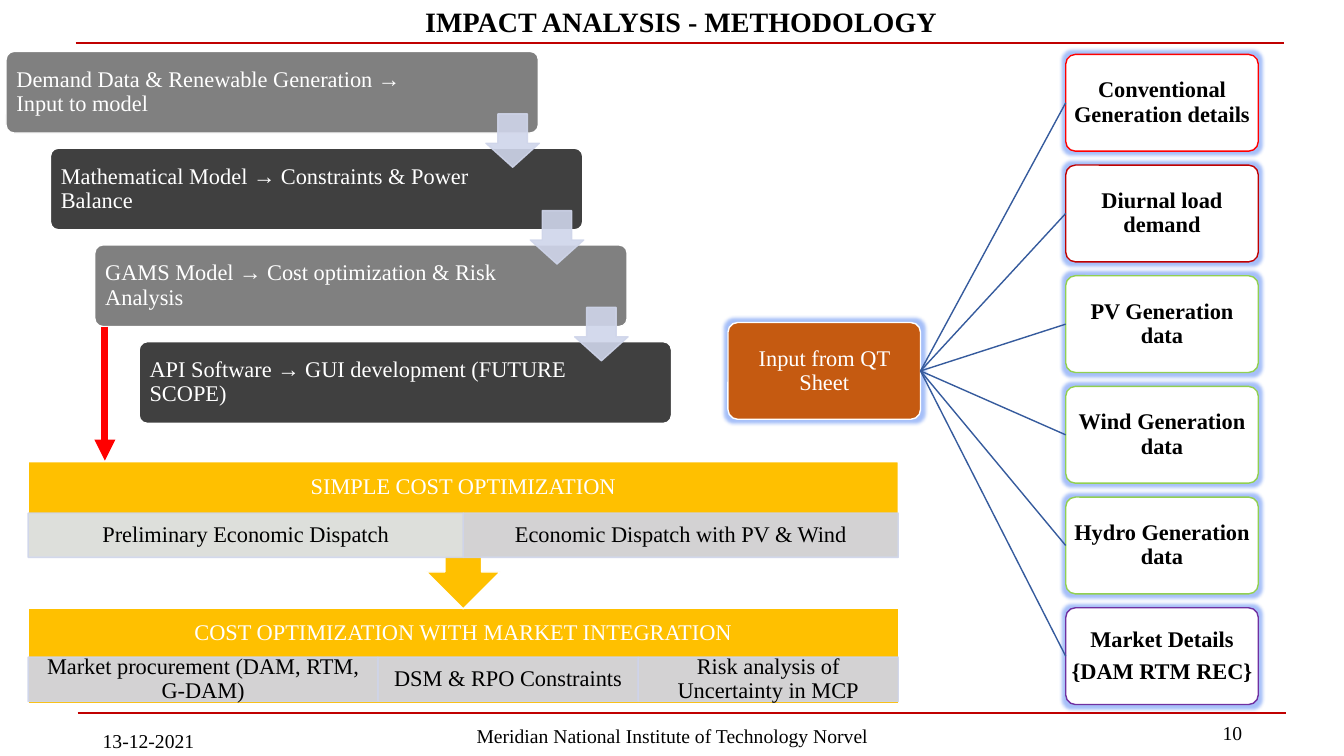
from lxml.etree import SubElement
from pptx import Presentation
from pptx.dml.color import RGBColor
from pptx.enum.shapes import MSO_CONNECTOR, MSO_SHAPE
from pptx.enum.text import MSO_ANCHOR, MSO_AUTO_SIZE, PP_ALIGN
from pptx.oxml.ns import qn
from pptx.util import Inches, Pt

TITLE = "IMPACT ANALYSIS - METHODOLOGY"
FOOTERS = [
    ("13-12-2021", PP_ALIGN.LEFT, (0.92, 7.15, 3, 0.4)),
    ("Meridian National Institute of Technology Norvel", PP_ALIGN.CENTER, (4.42, 7.1, 4.5, 0.4)),
    ("10", PP_ALIGN.RIGHT, (9.42, 7.07, 3, 0.4)),
]
STEPS = [
    "Demand Data & Renewable Generation → Input to model",
    "Mathematical Model → Constraints & Power Balance",
    "GAMS Model → Cost optimization & Risk Analysis",
    "API Software → GUI development (FUTURE SCOPE)",
]
SOURCE = "Input from QT Sheet"
DETAILS = [
    (["Conventional Generation details"], "red"),
    (["Diurnal load demand"], "crimson"),
    (["PV Generation data"], "green"),
    (["Wind Generation data"], "green"),
    (["Hydro Generation data"], "green"),
    (["Market Details", "{DAM RTM REC}"], "purple"),
]
STAGES = [
    ("COST OPTIMIZATION WITH MARKET INTEGRATION", MSO_SHAPE.RECTANGLE, 6.03, 0.95, 6.52, [
        ("Market procurement (DAM, RTM, G-DAM)", 0.402, "lavender"),
        ("DSM & RPO Constraints", 0.299, "lavender"),
        ("Risk analysis of Uncertainty in MCP", 0.299, "lavender"),
    ]),
    ("SIMPLE COST OPTIMIZATION", MSO_SHAPE.DOWN_ARROW_CALLOUT, 4.58, 1.46, 5.09, [
        ("Preliminary Economic Dispatch", 0.5, "ice"),
        ("Economic Dispatch with PV & Wind", 0.5, "lavender"),
    ]),
]
COLORS = {
    "black": "000000", "white": "FFFFFF", "red": "FF0000", "crimson": "C00000",
    "green": "92D050", "purple": "7030A0", "gray": "808080", "charcoal": "404040",
    "orange": "C55A11", "gold": "FFC000", "lavender": "CFD5EA", "ice": "DAE3F3",
    "blue": "365B9D", "glow": "2060F0",
}
FONT = "Times New Roman"
STEP_LEFT, STEP_TOP, STEP_WIDTH, STEP_HEIGHT = 0.06, 0.51, 5.28, 0.81
STEP_SHIFT, STEP_PITCH = 0.44, 0.96
BOX_WIDTH, BOX_HEIGHT = 1.91, 0.96
DETAIL_LEFT, DETAIL_TOP, DETAIL_PITCH = 10.57, 0.54, 1.098
STAGE_LEFT, STAGE_WIDTH, CELL_HEIGHT = 0.28, 8.63, 0.44

deck = Presentation()
deck.slide_width, deck.slide_height = Inches(13.33), Inches(7.5)
page = deck.slides.add_slide(deck.slide_layouts[5])


def color(name):
    return RGBColor.from_string(COLORS[name])


def write(shape, lines, ink="black", size=16, bold=False, align=PP_ALIGN.CENTER,
          insets=(0.1, 0.05, 0.1, 0.05), spacing=0.9, after=5.6):
    frame = shape.text_frame
    frame.word_wrap = True
    frame.auto_size = MSO_AUTO_SIZE.NONE
    frame.vertical_anchor = MSO_ANCHOR.MIDDLE
    (frame.margin_left, frame.margin_top,
     frame.margin_right, frame.margin_bottom) = map(Inches, insets)
    for index, line in enumerate(lines):
        para = frame.add_paragraph() if index else frame.paragraphs[0]
        para.alignment = align
        para.line_spacing = spacing
        para.space_before, para.space_after = Pt(0), Pt(after)
        span = para.add_run()
        span.text = line
        span.font.name, span.font.size, span.font.bold = FONT, Pt(size), bold
        span.font.color.rgb = color(ink)


def add_box(kind, place, fill, line="white", adjustments=(), alpha=None):
    box = page.shapes.add_shape(kind, *map(Inches, place))
    box.shadow.inherit = False
    for index, value in enumerate(adjustments):
        box.adjustments[index] = value
    box.fill.solid()
    box.fill.fore_color.rgb = color(fill)
    box.line.color.rgb = color(line)
    box.line.width = Pt(1)
    if alpha:
        for tint in list(box.element.spPr.iter(qn("a:srgbClr"))):
            SubElement(tint, qn("a:alpha"), val=str(alpha * 1000))
    return box


def add_glow(box):
    effects = box.element.spPr.find(qn("a:effectLst"))
    glow = SubElement(effects, qn("a:glow"), rad=str(Pt(5)))
    tint = SubElement(glow, qn("a:srgbClr"), val=COLORS["glow"])
    SubElement(tint, qn("a:alpha"), val="40000")


def add_line(start, end, ink, width):
    line = page.shapes.add_connector(MSO_CONNECTOR.STRAIGHT, *map(Inches, start + end))
    line.line.color.rgb = color(ink)
    line.line.width = Pt(width)
    SubElement(line.element.spPr, qn("a:effectLst"))
    return line


def add_frame():
    title = page.shapes.title
    title.left, title.top, title.width, title.height = map(Inches, (1.04, -0.07, 11.43, 0.6))
    write(title, [TITLE], size=20, bold=True, after=0)
    add_line((0.75, 0.43), (12.74, 0.43), "crimson", 1.5)
    for text, align, place in FOOTERS:
        box = page.shapes.add_textbox(*map(Inches, place))
        write(box, [text], size=14, align=align, spacing=1, after=0)
    add_line((0.77, 7.07), (12.75, 7.07), "crimson", 1.5)


def add_steps():
    for row, text in enumerate(STEPS):
        place = (STEP_LEFT + row * STEP_SHIFT, STEP_TOP + row * STEP_PITCH, STEP_WIDTH, STEP_HEIGHT)
        box = add_box(MSO_SHAPE.ROUNDED_RECTANGLE, place, ("gray", "charcoal")[row % 2], adjustments=[0.1])
        write(box, [text], "white", align=PP_ALIGN.LEFT, insets=(0.08, 0.07, 0.96, 0.07))
    for row in range(len(STEPS) - 1):
        place = (4.82 + row * STEP_SHIFT, 1.13 + row * STEP_PITCH, 0.53, 0.53)
        add_box(MSO_SHAPE.DOWN_ARROW, place, "lavender", "lavender", [0.55, 0.45], 90)


def add_detail_box(place, lines, fill, line, ink, bold):
    box = add_box(MSO_SHAPE.ROUNDED_RECTANGLE, place, fill, line, [0.1])
    add_glow(box)
    write(box, lines, ink, bold=bold, insets=(0.03, 0.03, 0.03, 0.03))
    return box


def add_details():
    source_place = (7.22, 3.2, BOX_WIDTH, BOX_HEIGHT)
    source = add_detail_box(source_place, [SOURCE], "orange", "white", "white", False)
    for row, (lines, outline) in enumerate(DETAILS):
        place = (DETAIL_LEFT, DETAIL_TOP + row * DETAIL_PITCH, BOX_WIDTH, BOX_HEIGHT)
        detail = add_detail_box(place, lines, "white", outline, "black", True)
        link = add_line((9.13, 3.68), (DETAIL_LEFT, place[1] + BOX_HEIGHT / 2), "blue", 1)
        link.begin_connect(source, 3)
        link.end_connect(detail, 1)


def add_stages():
    for heading, kind, top, height, cell_top, cells in STAGES:
        band = add_box(kind, (STAGE_LEFT, top, STAGE_WIDTH, height), "gold")
        write(band, [heading], "white", insets=(0.12, 0, 0.12, CELL_HEIGHT))
        left = STAGE_LEFT
        for text, share, fill in cells:
            width = share * STAGE_WIDTH
            cell = add_box(MSO_SHAPE.RECTANGLE, (left, cell_top, width, CELL_HEIGHT),
                           fill, "lavender", alpha=90)
            write(cell, [text], insets=(0.12, 0.02, 0.12, 0.02))
            left += width
    arrow = add_line((1.04, 3.24), (1.04, 4.57), "red", 5)
    SubElement(arrow.element.spPr.find(qn("a:ln")), qn("a:tailEnd"), type="triangle")


add_frame()
add_steps()
add_details()
add_stages()
deck.save("out.pptx")
